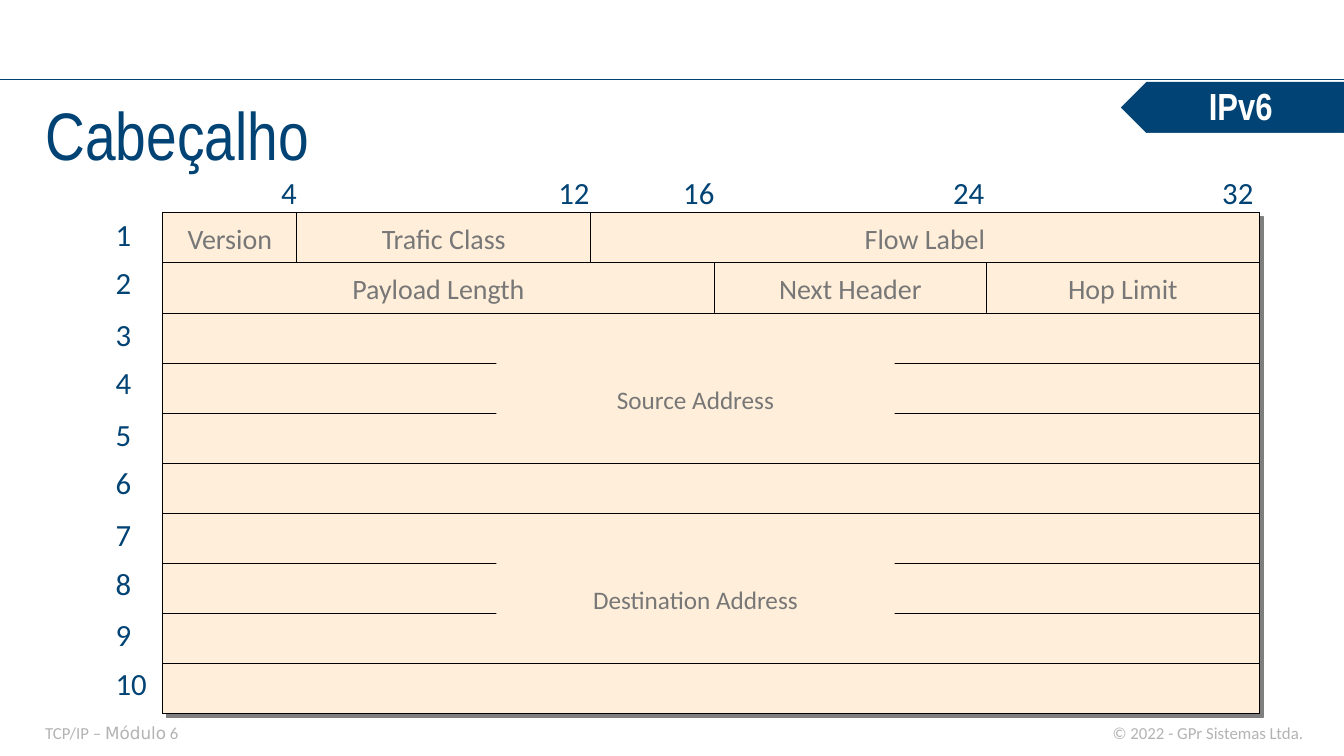
from pptx import Presentation
from pptx.dml.color import RGBColor
from pptx.enum.shapes import MSO_CONNECTOR as Connector, MSO_SHAPE as Shape
from pptx.enum.text import MSO_ANCHOR as Anchor, PP_ALIGN as Align
from pptx.oxml import parse_xml
from pptx.oxml.ns import nsdecls
from pptx.util import Pt

TITLE = "Cabeçalho"
TOPIC = "IPv6"
MODULE = [("TCP/IP – ", "Calibri"), ("Módulo", "DejaVu Sans"), (" 6", "Calibri")]
COPYRIGHT = "© 2022 - GPr Sistemas Ltda."
BIT_LABELS = [("4", 394.5), ("12", 790.5), ("16", 969), ("24", 1354.5), ("32", 1739)]
BIT_EDGES = {0: 232.5, 4: 424, 12: 844, 16: 1020, 24: 1409.5, 32: 1798.5}
HEADER_FIELDS = [
    [("Version", 0, 4), ("Trafic Class", 4, 12), ("Flow Label", 12, 32)],
    [("Payload Length", 0, 16), ("Next Header", 16, 24), ("Hop Limit", 24, 32)],
]
ADDRESSES = ["Source Address", "Destination Address"]
ROWS_PER_ADDRESS = 4

THEME = {
    "navy": RGBColor.from_string("014374"),
    "cream": RGBColor.from_string("FFEED9"),
    "gray": RGBColor.from_string("777777"),
    "pale": RGBColor.from_string("B3B3B3"),
    "white": RGBColor.from_string("FFFFFF"),
    "black": RGBColor.from_string("000000"),
    "title": {"size": 96, "name": "Arial Narrow", "color": "navy"},
    "topic": {"size": 54, "name": "Arial Narrow", "color": "white", "bold": True},
    "number": {"size": 44, "name": "Calibri", "color": "navy"},
    "field": {"size": 40, "name": "Calibri", "color": "gray"},
    "address": {"size": 36, "name": "Calibri", "color": "gray"},
    "footer": {"size": 24, "name": "Calibri", "color": "pale"},
}
SLIDE_W, SLIDE_H = 1920, 1080
GRID_LEFT, GRID_TOP = BIT_EDGES[0], 304
GRID_W = BIT_EDGES[32] - GRID_LEFT
ROW_H = 71.5
ROW_COUNT = len(HEADER_FIELDS) + ROWS_PER_ADDRESS * len(ADDRESSES)
MASK_LEFT, MASK_W, MASK_H = 709, 569, 94.5

deck = Presentation()
deck.slide_width, deck.slide_height = Pt(SLIDE_W), Pt(SLIDE_H)
slide = deck.slides.add_slide(deck.slide_layouts[6])


def write(holder, runs, style, align=Align.LEFT, anchor=Anchor.MIDDLE,
          inset=(4.5, 4.5), wrap=True):
    frame = holder.text_frame
    across, down = map(Pt, inset)
    layout = {"word_wrap": wrap, "vertical_anchor": anchor,
              "margin_left": across, "margin_right": across,
              "margin_top": down, "margin_bottom": down}
    for key, value in layout.items():
        setattr(frame, key, value)
    paragraph = frame.paragraphs[0]
    paragraph.alignment = align
    look = THEME[style]
    for words, face in runs:
        run = paragraph.add_run()
        run.text = words
        font = {"name": face or look["name"], "size": Pt(look["size"]),
                "bold": look.get("bold", False)}
        for key, value in font.items():
            setattr(run.font, key, value)
        run.font.color.rgb = THEME[look["color"]]


def label(words, style, left, top, width, height, **layout):
    box = slide.shapes.add_textbox(Pt(left), Pt(top), Pt(width), Pt(height))
    runs = [(words, None)] if isinstance(words, str) else words
    write(box, runs, style, **layout)


def paint(shape, fill, line=None, weight=1):
    shape.shadow.inherit = False
    shape.fill.solid()
    shape.fill.fore_color.rgb = THEME[fill]
    if line:
        shape.line.color.rgb = THEME[line]
        shape.line.width = Pt(weight)
    else:
        shape.line.fill.background()


def block(left, top, width, height, line="black", weight=1):
    shape = slide.shapes.add_shape(
        Shape.RECTANGLE, Pt(left), Pt(top), Pt(width), Pt(height))
    paint(shape, "cream", line, weight)
    return shape


def row_top(row):
    return GRID_TOP + row * ROW_H


rule = slide.shapes.add_connector(
    Connector.STRAIGHT, 0, Pt(114), Pt(SLIDE_W), Pt(114))
rule.line.color.rgb = THEME["navy"]
rule.line.width = Pt(2)
rule._element.spPr.append(parse_xml(f"<a:effectLst {nsdecls('a')}/>"))

label(COPYRIGHT, "footer", 1482, 1029, 384, 37, align=Align.RIGHT)
label(MODULE, "footer", 60, 1029, 1374, 37)

outline = slide.shapes.build_freeform(Pt(SLIDE_W), Pt(117.5), scale=1.0)
outline.add_line_segments(
    [(Pt(x), Pt(y)) for x, y in
     [(1638, 117.5), (1602, 153.5), (1638, 189.5), (SLIDE_W, 189.5)]], close=True)
paint(outline.convert_to_shape(), "navy", "navy")
label(TOPIC, "topic", 1654.5, 114.5, 236, 73.5, align=Align.CENTER)

header_frame = block(GRID_LEFT, GRID_TOP, GRID_W, ROW_COUNT * ROW_H, weight=2)
header_frame.shadow.inherit = True
header_frame._element.spPr.append(parse_xml(
    f'<a:effectLst {nsdecls("a")}><a:outerShdw dist="{Pt(8)}" dir="2700000" '
    'algn="ctr" rotWithShape="0"><a:srgbClr val="7F7F7F"/></a:outerShdw></a:effectLst>'))

for row, fields in enumerate(HEADER_FIELDS):
    for name, first, last in fields:
        left = BIT_EDGES[first]
        cell = block(left, row_top(row), BIT_EDGES[last] - left, ROW_H)
        write(cell, [(name, None)], "field", align=Align.CENTER, inset=(7.2, 7.2))

for index, name in enumerate(ADDRESSES):
    start = len(HEADER_FIELDS) + index * ROWS_PER_ADDRESS
    for row in range(start, start + ROWS_PER_ADDRESS):
        block(GRID_LEFT, row_top(row), GRID_W, ROW_H)
    mask = block(MASK_LEFT, row_top(start + 2) - 3 - MASK_H + 7.5,
                 MASK_W, MASK_H, line=None)
    mask.top = Pt(row_top(start) + 54)
    write(mask, [(name, None)], "address", align=Align.CENTER,
          anchor=Anchor.BOTTOM, inset=(7.2, 3.6))

number_layout = {"anchor": Anchor.TOP, "inset": (7.2, 3.6), "wrap": False}
for bit, left in BIT_LABELS:
    label(bit, "number", left, 245, 72, 65, **number_layout)
for row in range(ROW_COUNT):
    pair, second = divmod(row, 2)
    label(str(row + 1), "number", 158, GRID_TOP + pair * 2 * ROW_H + second * 69.5,
          61, 73.5, **number_layout)

label(TITLE, "title", 60.5, 126, 1800.5, 129.5)

deck.save("out.pptx")
